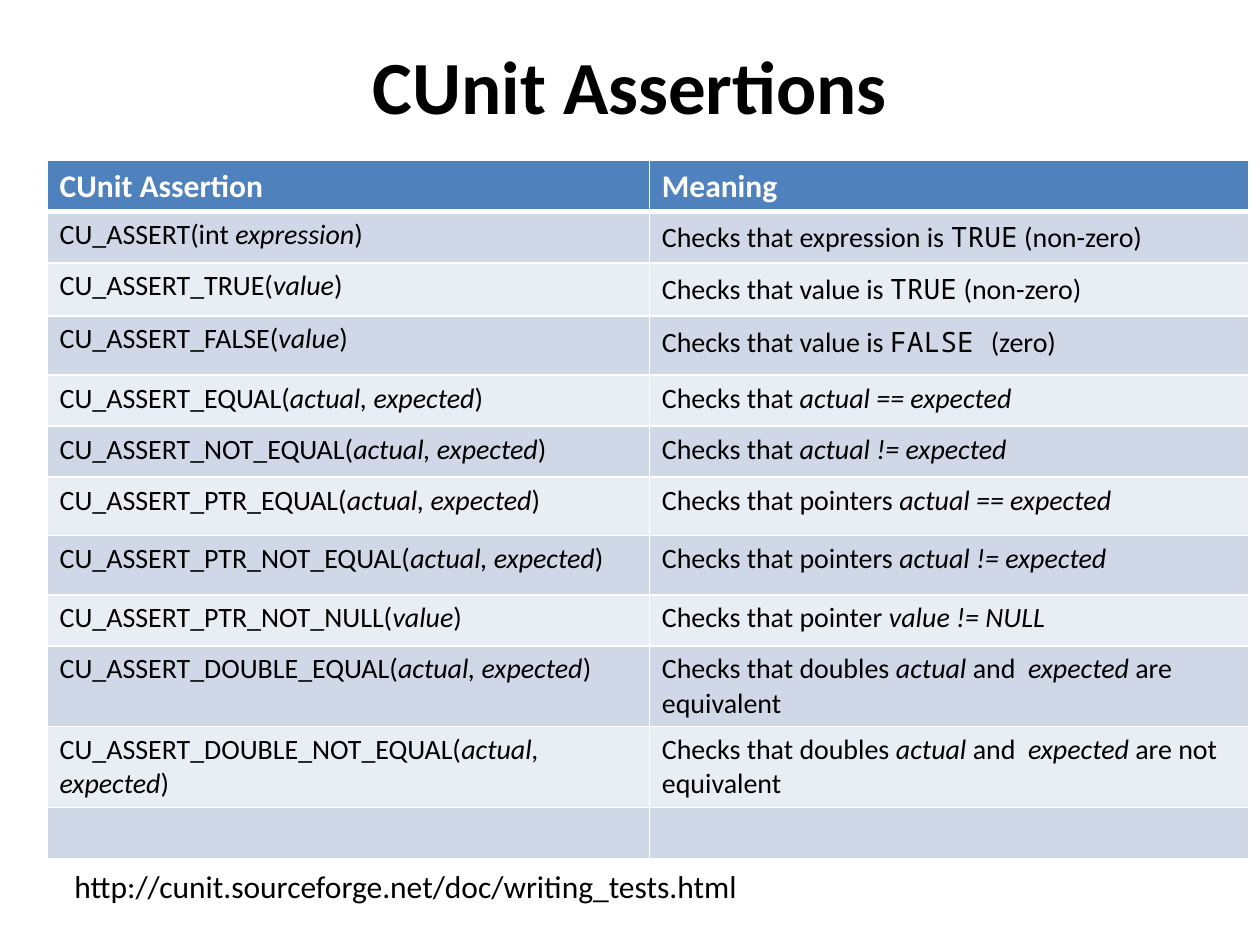
from lxml.etree import SubElement
from pptx import Presentation
from pptx.dml.color import RGBColor
from pptx.enum.text import MSO_ANCHOR as Anchor, PP_ALIGN as Align
from pptx.oxml.ns import qn
from pptx.util import Cm, Pt

COLORS = {"text": "000000", "white": "FFFFFF", "header": "4F81BD",
          "odd": "D0D8E8", "even": "E9EDF4"}
BODY_FONT, CODE_FONT = "Calibri", "Noto Sans Mono"

TITLE = "CUnit Assertions"
ADDRESS = "http://cunit.sourceforge.net/doc/writing_tests.html"
# Asterisks enclose italics, backticks enclose code.
ROWS = [
    ("CUnit Assertion", "Meaning", 1.03),
    ("CU_ASSERT(int *expression*)", "Checks that expression is `TRUE` (non-zero)", 1.03),
    ("CU_ASSERT_TRUE(*value*)", "Checks that value is `TRUE` (non-zero)", 1.07),
    ("CU_ASSERT_FALSE(*value*)", "Checks that value is `FALSE `(zero)", 1.19),
    ("CU_ASSERT_EQUAL(*actual, expected*)", "Checks that *actual == expected*", 1.03),
    ("CU_ASSERT_NOT_EQUAL(*actual, expected*)", "Checks that *actual != expected*", 1.03),
    ("CU_ASSERT_PTR_EQUAL(*actual, expected*)",
     "Checks that pointers *actual == expected*", 1.18),
    ("CU_ASSERT_PTR_NOT_EQUAL(*actual, expected*)",
     "Checks that pointers *actual != expected*", 1.19),
    ("CU_ASSERT_PTR_NOT_NULL(*value*)", "Checks that pointer *value != NULL*", 1.03),
    ("CU_ASSERT_DOUBLE_EQUAL(*actual, expected*)",
     "Checks that doubles *actual *and * expected *are equivalent", 1.63),
    ("CU_ASSERT_DOUBLE_NOT_EQUAL(*actual, expected*)",
     "Checks that doubles *actual *and * expected *are not equivalent", 1.63),
    ("", "", 1.03),
]
COLUMN_WIDTHS = (12.14, 12.09)


def write(frame, text, size, color="text", bold=False, align=Align.LEFT):
    paragraph = frame.paragraphs[0]
    paragraph.alignment = align
    paragraph.font.size = Pt(size)
    for italic_index, part in enumerate(text.split("*")):
        for code_index, piece in enumerate(part.split("`")):
            if not piece:
                continue
            run = paragraph.add_run()
            run.text = piece
            font = run.font
            font.name = CODE_FONT if code_index % 2 else BODY_FONT
            font.size = Pt(size)
            font.bold = bold
            font.italic = italic_index % 2 == 1
            font.color.rgb = RGBColor.from_string(COLORS[color])


def add_text(slide, text, left, top, width, height, anchor=Anchor.TOP, **style):
    box = slide.shapes.add_textbox(Cm(left), Cm(top), Cm(width), Cm(height))
    box.text_frame.word_wrap = True
    box.text_frame.vertical_anchor = anchor
    write(box.text_frame, text, **style)


def style_cell(cell, fill, top_width, bottom_width):
    properties = cell._tc.get_or_add_tcPr()
    widths = {"lnL": 1, "lnR": 1, "lnT": top_width, "lnB": bottom_width}
    for side, width in widths.items():
        line = SubElement(properties, qn(f"a:{side}"), w=str(Pt(width)))
        solid = SubElement(line, qn("a:solidFill"))
        SubElement(solid, qn("a:srgbClr"), val=COLORS["white"])
    cell.fill.solid()
    cell.fill.fore_color.rgb = RGBColor.from_string(COLORS[fill])


def add_assertions(slide):
    heights = [row[-1] for row in ROWS]
    table = slide.shapes.add_table(
        len(ROWS), len(COLUMN_WIDTHS), Cm(0.95), Cm(3.24),
        Cm(sum(COLUMN_WIDTHS)), Cm(sum(heights))).table
    for column, width in zip(table.columns, COLUMN_WIDTHS):
        column.width = Cm(width)
    for index, (*texts, height) in enumerate(ROWS):
        table.rows[index].height = Cm(height)
        header = index == 0
        fill = "header" if header else "odd" if index % 2 else "even"
        for column, text in enumerate(texts):
            cell = table.cell(index, column)
            style_cell(cell, fill, 3 if index == 1 else 1, 3 if header else 1)
            write(cell.text_frame, text, size=18 if header else 16,
                  color="white" if header else "text", bold=header)


def main():
    presentation = Presentation()
    presentation.slide_width, presentation.slide_height = Cm(25.4), Cm(19.05)
    slide = presentation.slides.add_slide(presentation.slide_layouts[6])
    add_text(slide, TITLE, 0, 0.18, 25.4, 3.05, anchor=Anchor.MIDDLE,
             size=42.9, bold=True, align=Align.CENTER)
    add_assertions(slide)
    add_text(slide, ADDRESS, 1.25, 17.35, 18.72, 1.02, size=18)
    presentation.save("out.pptx")


if __name__ == "__main__":
    main()
